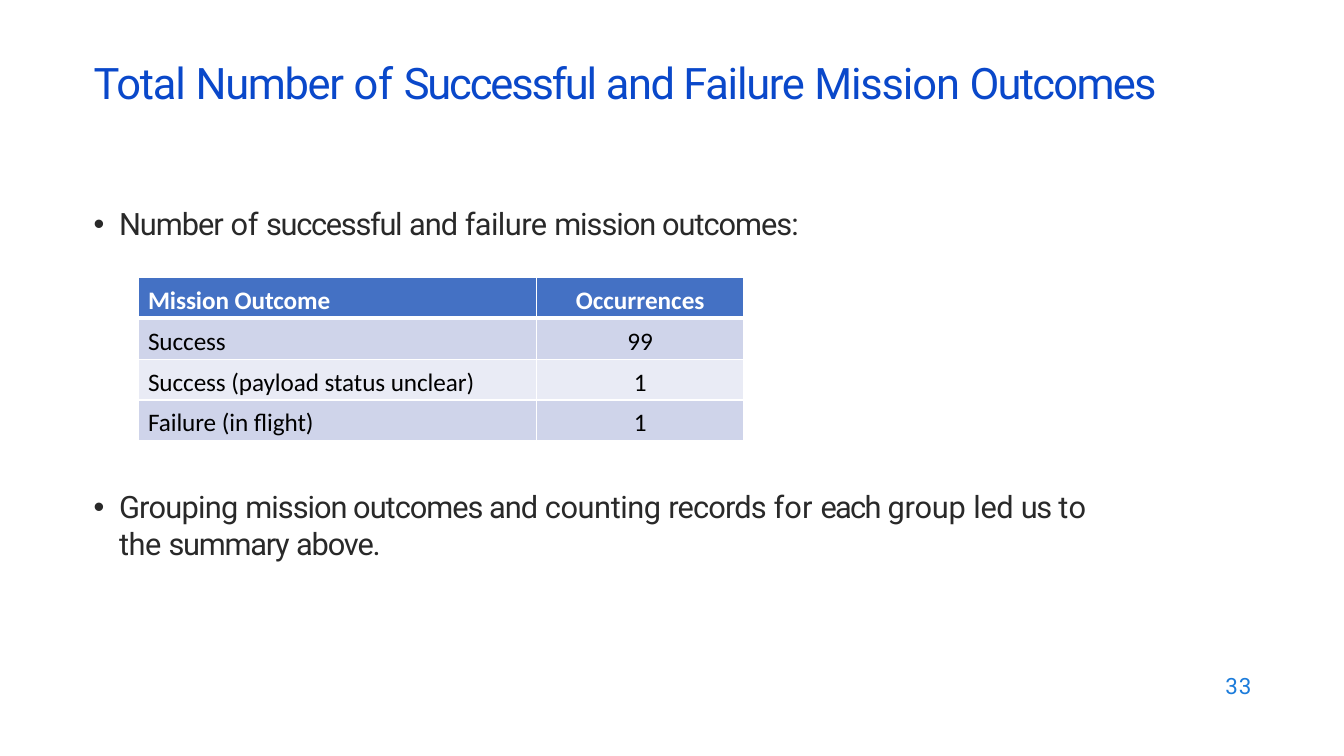
from lxml.etree import SubElement
from pptx import Presentation
from pptx.dml.color import RGBColor
from pptx.enum.text import MSO_ANCHOR, MSO_AUTO_SIZE, PP_ALIGN
from pptx.oxml.ns import qn
from pptx.util import Cm, Pt

TITLE_BLUE = RGBColor(0x0A, 0x48, 0xCA)
NUMBER_BLUE = RGBColor(0x1C, 0x7C, 0xDB)
BODY_GREY = RGBColor(0x29, 0x29, 0x29)
HEADER_BLUE = RGBColor(0x44, 0x71, 0xC4)
BAND_DARK = RGBColor(0xCF, 0xD4, 0xEA)
BAND_LIGHT = RGBColor(0xE9, 0xEB, 0xF5)
WHITE = RGBColor(0xFF, 0xFF, 0xFF)
BLACK = RGBColor(0, 0, 0)

TITLE = [
    ("Total ", -0.8), ("Number ", -0.9), ("of ", -0.1), ("Successful ", -1.5),
    ("and Failure ", -0.9), ("Mission ", -0.8), ("Outcomes", -1.2),
]
INTRODUCTION = [
    ("Number ", -0.7), ("of ", -0.1), ("successful ", -0.9), ("and ", -0.7),
    ("failure ", -0.4), ("mission outcomes:", -0.7),
]
EXPLANATION = [
    ("Grouping ", -0.5), ("mission outcomes and ", -0.7), ("counting ", -0.3),
    ("records ", -0.6), ("for ", 0.1), ("each ", -1.2), ("group ", -0.1),
    ("led ", -0.3), ("us ", -1.1), ("to  ", 0.5), ("the ", -0.3),
    ("summary ", -0.9), ("above.", -0.8),
]
SLIDE_NUMBER = [("33", 0.8)]
OUTCOMES = [
    ("Mission Outcome", "Occurrences"),
    ("Success", "99"),
    ("Success (payload status unclear)", "1"),
    ("Failure (in flight)", "1"),
]

LEFT = Cm(2.36)
COLUMN_WIDTHS = [Cm(10.05), Cm(5.21)]
ROW_HEIGHT = Cm(1.03)


def write_text(frame, runs, size, color, font="Roboto", bold=False,
               align=PP_ALIGN.LEFT, bullet=False, line_spacing=None):
    paragraph = frame.paragraphs[0]
    properties = paragraph._p.get_or_add_pPr()
    properties.set("marL", str(Cm(0.64) if bullet else 0))
    properties.set("indent", str(-Cm(0.64) if bullet else 0))
    if bullet:
        SubElement(properties, qn("a:buFont")).set("typeface", "Arial")
        SubElement(properties, qn("a:buChar")).set("char", "•")
    paragraph.alignment = align
    paragraph.space_before = Pt(0)
    if line_spacing:
        paragraph.line_spacing = line_spacing
    for text, spacing in runs:
        run = paragraph.add_run()
        run.text = text
        run.font.name = font
        run.font.size = Pt(size)
        run.font.bold = bold
        run.font.color.rgb = color
        run.font._element.set("spc", str(round(spacing * 100)))


def place_text(shape, left, top, width, height, runs, inset=Cm(0.06), **text_format):
    shape.left, shape.top, shape.width, shape.height = left, top, width, height
    frame = shape.text_frame
    frame.word_wrap = True
    frame.auto_size = MSO_AUTO_SIZE.NONE
    frame.vertical_anchor = MSO_ANCHOR.TOP
    frame.margin_left = frame.margin_right = frame.margin_bottom = 0
    frame.margin_top = inset
    write_text(frame, runs, **text_format)


def set_borders(cell, **widths):
    properties = cell._tc.get_or_add_tcPr()
    for side in "LRTB":
        line = SubElement(properties, qn(f"a:ln{side}"), w=str(Pt(widths.get(side, 1))))
        fill = SubElement(line, qn("a:solidFill"))
        SubElement(fill, qn("a:srgbClr")).set("val", str(WHITE))


def add_outcome_table(slide):
    row_count = len(OUTCOMES)
    table = slide.shapes.add_table(
        row_count, len(COLUMN_WIDTHS), Cm(3.48), Cm(6.99),
        sum(COLUMN_WIDTHS), ROW_HEIGHT * row_count).table
    for column, width in zip(table.columns, COLUMN_WIDTHS):
        column.width = width
    for row_index, values in enumerate(OUTCOMES):
        table.rows[row_index].height = ROW_HEIGHT
        header = row_index == 0
        band = BAND_DARK if row_index % 2 else BAND_LIGHT
        for column_index, value in enumerate(values):
            cell = table.cell(row_index, column_index)
            set_borders(cell, T=3 if row_index == 1 else 1, B=3 if header else 1)
            cell.fill.solid()
            cell.fill.fore_color.rgb = HEADER_BLUE if header else band
            cell.margin_left = Cm(0) if column_index else Cm(0.25)
            cell.margin_right = cell.margin_bottom = 0
            cell.margin_top = Cm(0.2)
            write_text(cell.text_frame, [(value, 0 if column_index else -0.05)],
                       size=18, font="Calibri", bold=header,
                       color=WHITE if header else BLACK,
                       align=PP_ALIGN.CENTER if column_index else PP_ALIGN.LEFT)


def main():
    presentation = Presentation()
    presentation.slide_width, presentation.slide_height = Cm(33.87), Cm(19.05)
    slide = presentation.slides.add_slide(presentation.slide_layouts[3])
    title, introduction, explanation = slide.placeholders

    place_text(title, LEFT, Cm(1.35), Cm(27.18), Cm(1.4), TITLE,
               size=31, color=TITLE_BLUE)
    place_text(introduction, LEFT, Cm(5.11), Cm(17.81), Cm(0.99), INTRODUCTION,
               size=22, color=BODY_GREY, bullet=True)
    place_text(explanation, LEFT, Cm(12.24), Cm(25.43), Cm(1.93), EXPLANATION,
               size=22, color=BODY_GREY, bullet=True)
    add_outcome_table(slide)
    number = slide.shapes.add_textbox(0, 0, 0, 0)
    place_text(number, Cm(30.88), Cm(16.97), Cm(0.89), Cm(0.71), SLIDE_NUMBER,
               inset=0, size=16, color=NUMBER_BLUE, line_spacing=Pt(18.4))
    presentation.save("out.pptx")


if __name__ == "__main__":
    main()
